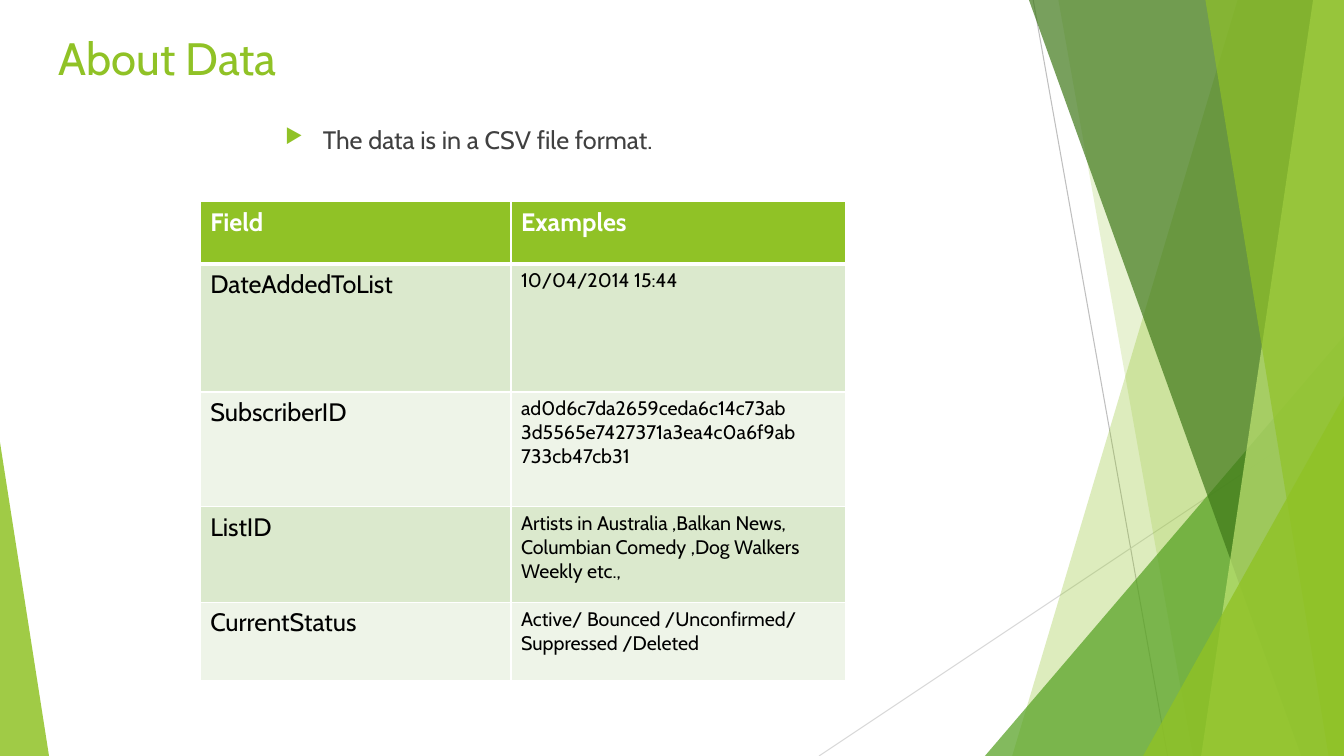
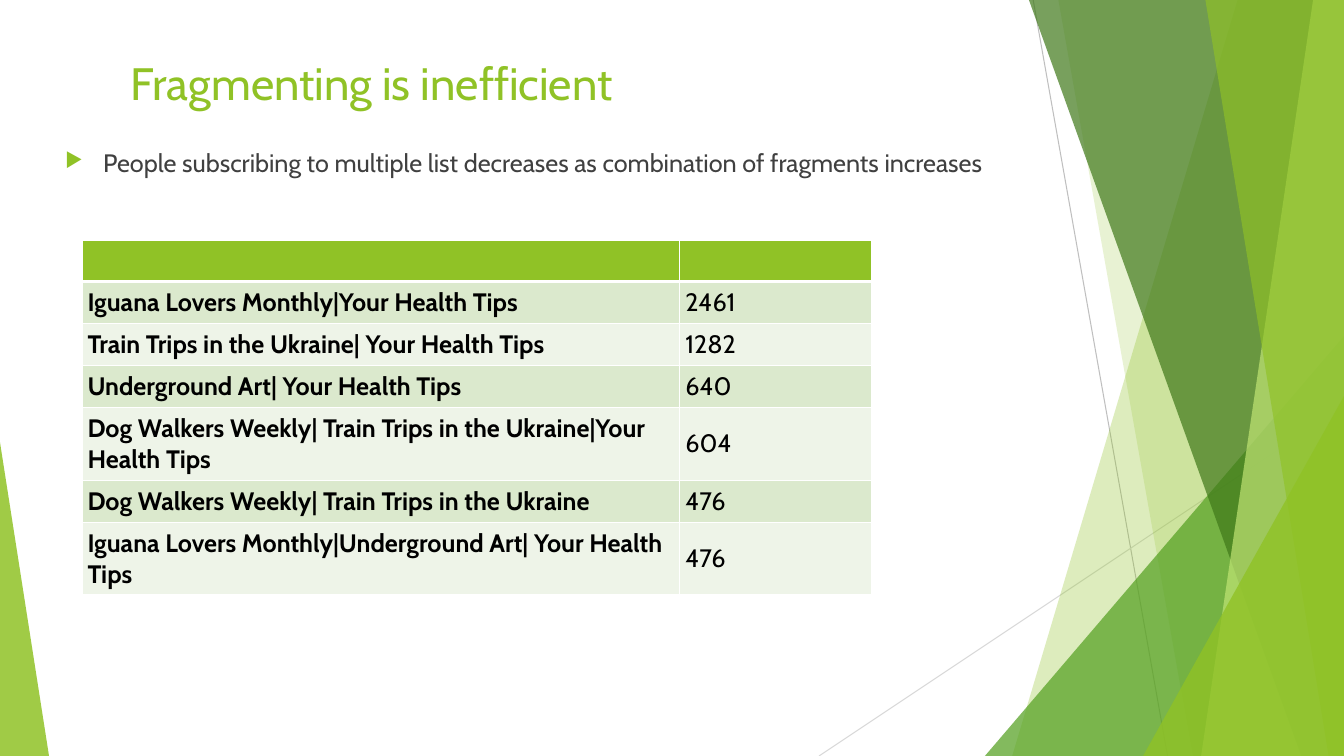
from dataclasses import dataclass

from lxml import etree
from pptx import Presentation
from pptx.dml.color import RGBColor
from pptx.enum import shapes, text
from pptx.oxml import ns
from pptx.util import Pt

FONT = "Cabin"
WIDTH, HEIGHT = 960, 540
COLOURS = {
    "lime": "90C226",
    "pale lime": "C0E474",
    "green": "54A021",
    "forest": "3F7819",
    "grey line": "BFBFBF",
    "light line": "D9D9D9",
    "body": "404040",
    "black": "000000",
    "white": "FFFFFF",
    "odd row": "DBE9CD",
    "even row": "EEF4E8",
}


@dataclass
class Column:
    """Width and body text style of a table column."""

    width: float
    size: float = 18
    bold: bool = False


def rgb(name):
    """Return a named colour."""
    return RGBColor.from_string(COLOURS[name])


def add_element(parent, tag, **attributes):
    """Append a drawing element to a parent."""
    return etree.SubElement(parent, ns.qn(tag), attributes)


def style_font(para, size, colour, bold=False):
    """Set the font of a whole paragraph."""
    para.font.name = FONT
    para.font.size = Pt(size)
    para.font.bold = bold
    para.font.color.rgb = rgb(colour)


def paint(shape, colour, opacity):
    """Give a shape a translucent fill without outline or shadow."""
    shape.shadow.inherit = False
    shape.fill.solid()
    shape.fill.fore_color.rgb = rgb(colour)
    shape.line.fill.background()
    tint = shape.fill._xPr.find(ns.qn("a:solidFill"))[0]
    add_element(tint, "a:alpha", val=str(opacity * 1000))


def add_ray(page, start, end, colour):
    """Draw a thin straight line."""
    ray = page.shapes.add_connector(
        shapes.MSO_CONNECTOR.STRAIGHT, *map(Pt, start + end))
    ray.line.color.rgb = rgb(colour)
    ray.line.width = Pt(0.75)
    add_element(ray._element.spPr, "a:effectLst")


def add_band(page, top_x, bottom_x, colour, opacity):
    """Fill from a slanted edge to the right side of the page."""
    outline = page.shapes.build_freeform(Pt(top_x), 0)
    corners = [(WIDTH, 0), (WIDTH, HEIGHT), (bottom_x, HEIGHT)]
    outline.add_line_segments([(Pt(x), Pt(y)) for x, y in corners])
    paint(outline.convert_to_shape(), colour, opacity)


def add_wedge(page, left, top, width, apex, colour, opacity):
    """Stand a right-angled triangle on the bottom of the page."""
    wedge = page.shapes.add_shape(
        shapes.MSO_SHAPE.ISOSCELES_TRIANGLE,
        Pt(left), Pt(top), Pt(width), Pt(HEIGHT - top))
    wedge.adjustments[0] = apex
    paint(wedge, colour, opacity)


def add_facets(page):
    """Draw the green facets around the page."""
    add_ray(page, (738, 0), (834, HEIGHT), "grey line")
    add_ray(page, (WIDTH, 290), (585, HEIGHT), "light line")
    add_band(page, 884, 723, "lime", 30)
    add_band(page, 756, 852, "lime", 20)
    add_wedge(page, 703.5, 240, 256.5, 1, "green", 72)
    add_band(page, 735, 929.5, "forest", 70)
    add_band(page, 938, 858, "pale lime", 70)
    add_band(page, 861, 949, "lime", 65)
    add_wedge(page, 816.5, 283, 143.5, 1, "lime", 80)
    add_wedge(page, 0, 316, 35, 0, "lime", 85)


def add_text(page, box, words):
    """Place a wrapped text box and return its paragraph."""
    frame = page.shapes.add_textbox(*map(Pt, box)).text_frame
    frame.word_wrap = True
    frame.vertical_anchor = text.MSO_ANCHOR.TOP
    para = frame.paragraphs[0]
    para.text = words
    return para


def add_title(page, box, words):
    """Write the page title."""
    style_font(add_text(page, box, words), 32.4, "lime")


def add_bullet(page, box, words):
    """Write a line of body text behind a triangular bullet."""
    para = add_text(page, box, words)
    props = para._p.get_or_add_pPr()
    props.set("marL", str(Pt(27)))
    props.set("indent", str(-Pt(27)))
    add_element(add_element(props, "a:buClr"), "a:srgbClr", val=COLOURS["lime"])
    add_element(props, "a:buSzPct", val="80000")
    add_element(props, "a:buChar", char="▶")
    style_font(para, 18, "body")


def add_borders(cell, header):
    """Rule a cell in white, with a heavy line below the header."""
    widths = {"L": 1, "R": 1, "T": 1, "B": 3} if header else {"L": 1, "R": 1, "B": 1}
    props = cell._tc.get_or_add_tcPr()
    for index, (side, width) in enumerate(widths.items()):
        line = etree.Element(ns.qn(f"a:ln{side}"), w=str(Pt(width)))
        fill = add_element(line, "a:solidFill")
        add_element(fill, "a:srgbClr", val=COLOURS["white"])
        props.insert(index, line)


def add_grid(page, origin, columns, heights, rows, anchor=text.MSO_ANCHOR.TOP,
             insets=(7.2, 3.6)):
    """Place a table with a lime header and alternating body rows."""
    size = sum(column.width for column in columns), sum(heights)
    table = page.shapes.add_table(
        len(rows), len(columns), *map(Pt, origin + size)).table
    for slot, column in zip(table.columns, columns):
        slot.width = Pt(column.width)
    for r, (height, row) in enumerate(zip(heights, rows)):
        table.rows[r].height = Pt(height)
        header = r == 0
        band = "lime" if header else "odd row" if r % 2 else "even row"
        for c, (column, words) in enumerate(zip(columns, row)):
            cell = table.cell(r, c)
            cell.fill.solid()
            cell.fill.fore_color.rgb = rgb(band)
            cell.vertical_anchor = anchor
            cell.margin_left = cell.margin_right = Pt(insets[0])
            cell.margin_top = cell.margin_bottom = Pt(insets[1])
            add_borders(cell, header)
            para = cell.text_frame.paragraphs[0]
            if words:
                para.text = words
            if header:
                style_font(para, 18, "white", True)
            else:
                style_font(para, column.size, "black", column.bold)


def add_page(deck):
    """Add a blank page with the shared facets."""
    page = deck.slides.add_slide(deck.slide_layouts[6])
    add_facets(page)
    return page


def build_data_page(deck):
    """Describe the fields of the data."""
    page = add_page(deck)
    add_title(page, (34.5, 18, 677, 50), "About Data")
    add_bullet(page, (196.5, 85, 314, 42), "The data is in a CSV file format.")
    add_grid(
        page, (143, 144), [Column(222), Column(239, size=14)],
        [44.5, 91.5, 82, 68.5, 56],
        [
            ("Field", "Examples"),
            ("DateAddedToList", "10/04/2014 15:44"),
            ("SubscriberID",
             "ad0d6c7da2659ceda6c14c73ab 3d5565e7427371a3ea4c0a6f9ab 733cb47cb31"),
            ("ListID",
             "Artists in Australia ,Balkan News, Columbian Comedy ,Dog Walkers Weekly etc.,"),
            ("CurrentStatus", "Active/ Bounced /Unconfirmed/ Suppressed /Deleted"),
        ])


def build_fragment_page(deck):
    """Count the subscribers of each list combination."""
    page = add_page(deck)
    add_title(page, (86.5, 35.5, 440, 26), "Fragmenting is inefficient")
    add_bullet(
        page, (39.5, 102, 677, 52),
        "People subscribing to multiple list decreases as combination of fragments increases")
    single, double = 30, 52
    add_grid(
        page, (58.5, 171.5), [Column(427, bold=True), Column(137)],
        [29, single, single, single, double, single, double],
        [
            ("", ""),
            ("Iguana Lovers Monthly|Your Health Tips", "2461"),
            ("Train Trips in the Ukraine| Your Health Tips", "1282"),
            ("Underground Art| Your Health Tips", "640"),
            ("Dog Walkers Weekly| Train Trips in the Ukraine|Your Health Tips", "604"),
            ("Dog Walkers Weekly| Train Trips in the Ukraine", "476"),
            ("Iguana Lovers Monthly|Underground Art| Your Health Tips", "476"),
        ],
        anchor=text.MSO_ANCHOR.MIDDLE, insets=(4, 4))


def main():
    """Build and save the deck."""
    deck = Presentation()
    deck.slide_width, deck.slide_height = Pt(WIDTH), Pt(HEIGHT)
    build_data_page(deck)
    build_fragment_page(deck)
    deck.save("out.pptx")


if __name__ == "__main__":
    main()
